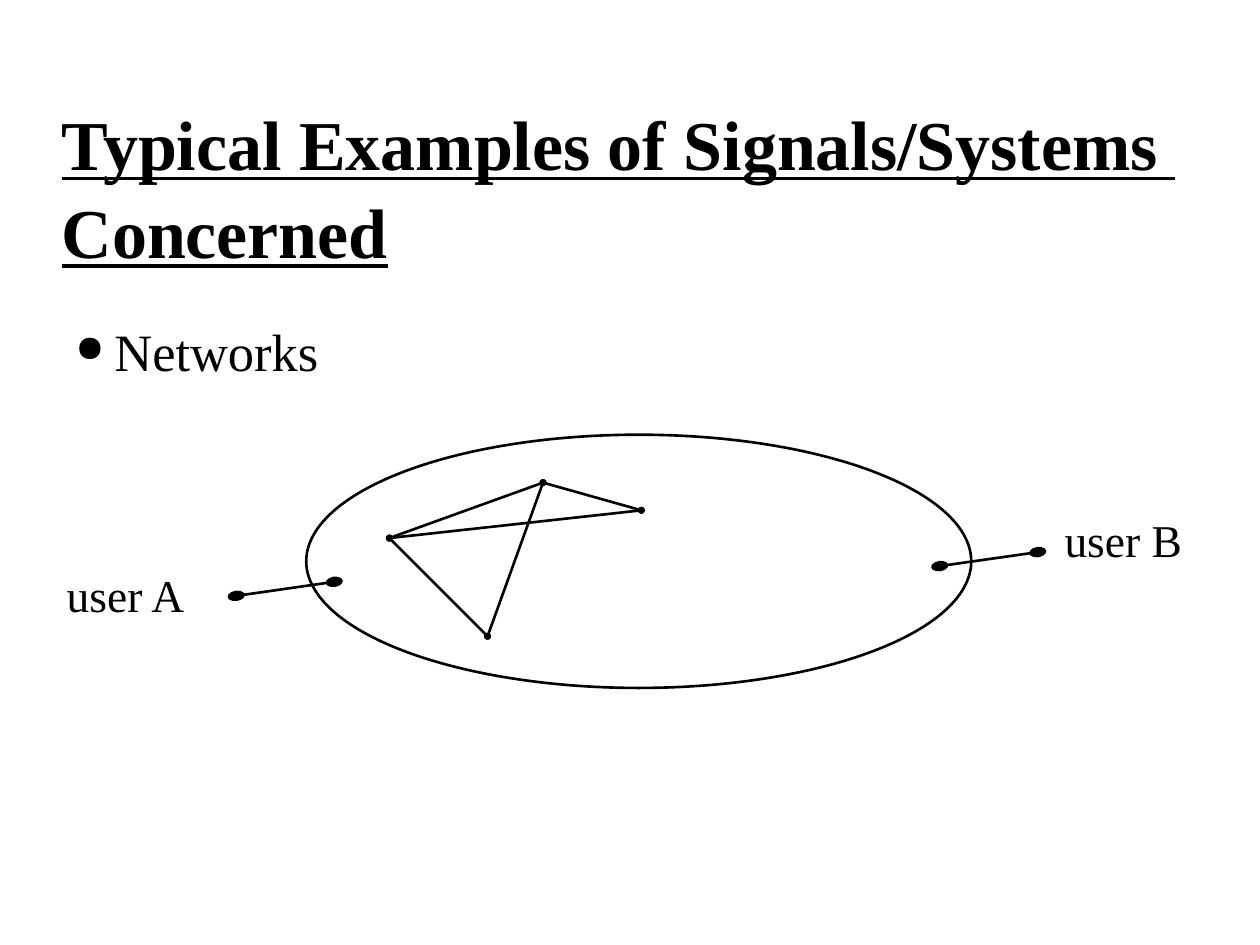
from lxml.etree import SubElement
from pptx import Presentation
from pptx.dml.color import RGBColor
from pptx.enum.shapes import MSO_CONNECTOR, MSO_SHAPE
from pptx.enum.text import MSO_ANCHOR, MSO_AUTO_SIZE, PP_ALIGN
from pptx.oxml.ns import qn
from pptx.util import Pt

INK = "000000"
FONT = "Times New Roman"


def write(shape, text, size, bold=False, under=False, wrap=True, left=0,
          hang=0, gap=0, anchor=MSO_ANCHOR.TOP):
    frame = shape.text_frame
    frame.auto_size = MSO_AUTO_SIZE.NONE
    frame.word_wrap = wrap
    frame.vertical_anchor = anchor
    for i, line in enumerate(text.split("\n")):
        par = frame.paragraphs[0] if i == 0 else frame.add_paragraph()
        par.alignment = PP_ALIGN.LEFT
        par.line_spacing = 1.0
        par.space_before = Pt(gap if i else 0)
        props = par._p.get_or_add_pPr()
        props.set("marL", str(Pt(left)))
        props.set("indent", str(Pt(hang)))
        if hang:
            SubElement(props, qn("a:buSzPct"), val="70000")
            SubElement(props, qn("a:buChar"), char="●")
        run = par.add_run()
        run.text = line
        font = run.font
        font.name, font.size = FONT, Pt(size)
        font.bold, font.underline = bold, under
        font.color.rgb = RGBColor.from_string(INK)


def link(start, end, wide, long):
    line = slide.shapes.add_connector(
        MSO_CONNECTOR.STRAIGHT, *[Pt(v) for v in start + end])
    line.line.width = Pt(1.5)
    line.line.color.rgb = RGBColor.from_string(INK)
    for tag in ("a:headEnd", "a:tailEnd"):
        SubElement(line.line._get_or_add_ln(), qn(tag),
                   type="oval", w=wide, len=long)
    SubElement(line._element.spPr, qn("a:effectLst"))


deck = Presentation()
deck.slide_width, deck.slide_height = Pt(720), Pt(540)
slide = deck.slides.add_slide(deck.slide_layouts[5])

# Title
title = slide.shapes.title
title.left, title.top, title.width, title.height = Pt(0), Pt(54), Pt(720), Pt(102)
write(title, "Typical Examples of Signals/Systems \nConcerned", 40,
      bold=True, under=True, left=28, gap=2)

# Bullet
topic = slide.shapes.add_textbox(Pt(0), Pt(178.8), Pt(720), Pt(41))
write(topic, "Networks", 30, left=58.3, hang=-22.3)

# Links between the network nodes
west, north = (222.5, 307.5), (310.3, 275.8)
east, south = (366.5, 291.6), (278.6, 363.6)
for start, end in [(west, north), (west, east), (north, east),
                   (west, south), (north, south)]:
    link(start, end, "sm", "sm")

# Network outline
cloud = slide.shapes.add_shape(
    MSO_SHAPE.OVAL, Pt(175), Pt(248.4), Pt(380), Pt(144.7))
cloud.shadow.inherit = False
cloud.fill.background()
cloud.line.width = Pt(1.5)
cloud.line.color.rgb = RGBColor.from_string(INK)

# Users: label place and access line
for name, x, y, start in [("user A", 31, 320.4, (135, 340.5)),
                          ("user B", 601.2, 288.7, (537, 323.5))]:
    link(start, (start[0] + 56, start[1] - 8), "med", "lg")
    label = slide.shapes.add_textbox(Pt(x), Pt(y), Pt(82), Pt(39))
    write(label, name, 26, wrap=False, anchor=MSO_ANCHOR.MIDDLE)

deck.save("out.pptx")
